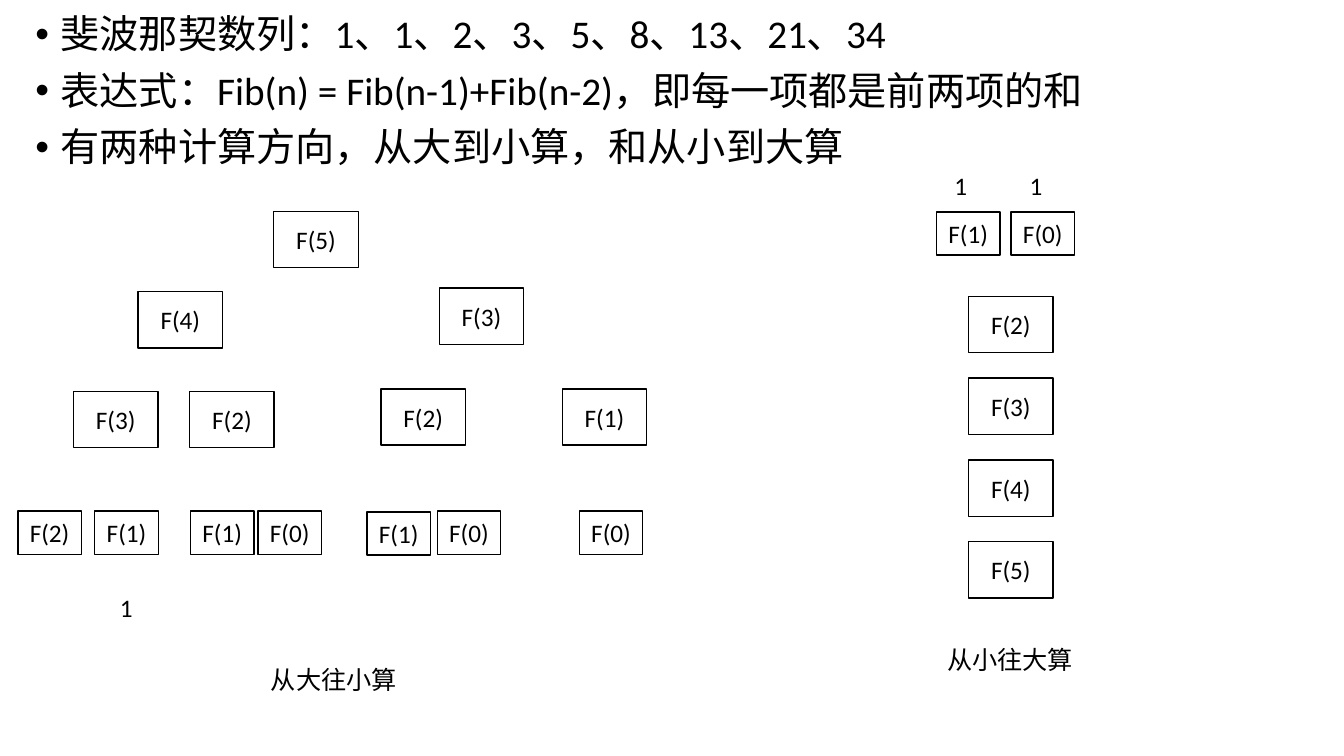
from pptx import Presentation
from pptx import util as u
from pptx.dml import color
from pptx.enum import shapes, text

BIG = (2.13, 1.42)
SMALL = (1.6, 1.09)


def rgb(code):
    """Turn a hex string into a colour."""
    return color.RGBColor.from_string(code)


def write(para, words, size=18, hue="000000", align=None):
    """Put formatted words into a paragraph."""
    run = para.add_run()
    run.text = words
    run.font.size = u.Pt(size)
    run.font.name = "Calibri"
    run.font.color.rgb = rgb(hue)
    para.alignment = align


def place(shape, x, y, w, h):
    """Move and size a shape."""
    shape.left, shape.top = u.Cm(x), u.Cm(y)
    shape.width, shape.height = u.Cm(w), u.Cm(h)


def node(slide, n, x, y, size):
    """Draw one call of the function as a box."""
    dims = [u.Cm(v) for v in (x, y, *size)]
    box = slide.shapes.add_shape(shapes.MSO_SHAPE.RECTANGLE, *dims)
    box.shadow.inherit = False
    box.fill.solid()
    box.fill.fore_color.rgb = rgb("FFFFFF")
    box.line.color.rgb = rgb("000000")
    box.line.width = u.Pt(1)
    frame = box.text_frame
    frame.vertical_anchor = text.MSO_ANCHOR.MIDDLE
    write(frame.paragraphs[0], f"F({n})", align=text.PP_ALIGN.CENTER)


def label(slide, words, x, y, w):
    """Add a single line of plain text."""
    box = slide.shapes.add_textbox(u.Cm(x), u.Cm(y), u.Cm(w), u.Cm(1.02))
    box.text_frame.word_wrap = False
    box.text_frame.auto_size = text.MSO_AUTO_SIZE.SHAPE_TO_FIT_TEXT
    write(box.text_frame.paragraphs[0], words)


def intro(slide, x, y, w, h):
    """Fill the body placeholder with the bullets."""
    body = slide.placeholders[1]
    place(body, x, y, w, h)
    lines = (
        "斐波那契数列：1、1、2、3、5、8、13、21、34",
        "表达式：Fib(n) = Fib(n-1)+Fib(n-2)，即每一项都是前两项的和",
        "有两种计算方向，从大到小算，和从小到大算",
    )
    frame = body.text_frame
    for i, line in enumerate(lines):
        para = frame.add_paragraph() if i else frame.paragraphs[0]
        para.line_spacing = 0.9
        para.space_before = u.Pt(10)
        props = para._p.get_or_add_pPr()
        props.set("marL", str(u.Cm(0.635)))
        props.set("indent", str(-u.Cm(0.635)))
        write(para, line, size=28)


def tree(slide, x, y):
    """Draw the recursion from large to small."""
    rows = (
        (BIG, ((5, 6.45, 0),)),
        (BIG, ((4, 3.03, 2.02), (3, 10.62, 1.93))),
        (BIG, ((3, 1.4, 4.53), (2, 4.33, 4.53), (2, 9.15, 4.47), (1, 13.72, 4.47))),
        (SMALL, ((2, 0, 7.55), (1, 1.94, 7.55), (1, 4.35, 7.55), (0, 6.05, 7.55),
                 (1, 8.8, 7.57), (0, 10.57, 7.55), (0, 14.15, 7.55))),
    )
    for size, row in rows:
        for n, dx, dy in row:
            node(slide, n, x + dx, y + dy, size)
    label(slide, "1", x + 2.32, y + 9.48, 0.84)
    label(slide, "从大往小算", x + 6.13, y + 11.28, 3.72)


def chain(slide, x, y):
    """Draw the sums from small to large."""
    for i, n in enumerate((1, 0)):
        label(slide, "1", x + 0.2 + 1.9 * i, y - 1.17, 0.84)
        node(slide, n, x + 1.88 * i, y, SMALL)
    for i in range(4):
        node(slide, i + 2, x + 0.81, y + 2.13 + 2.06 * i, BIG)
    label(slide, "从小往大算", x + 0.02, y + 10.77, 3.72)


def main():
    """Build and save the slide."""
    deck = Presentation()
    deck.slide_width, deck.slide_height = u.Cm(33.87), u.Cm(19.05)
    slide = deck.slides.add_slide(deck.slide_layouts[1])
    title = slide.shapes.title.element
    title.getparent().remove(title)
    intro(slide, 0.64, 0.25, 29.21, 12.09)
    tree(slide, 0.45, 5.33)
    chain(slide, 23.6, 5.34)
    deck.save("out.pptx")


if __name__ == "__main__":
    main()
